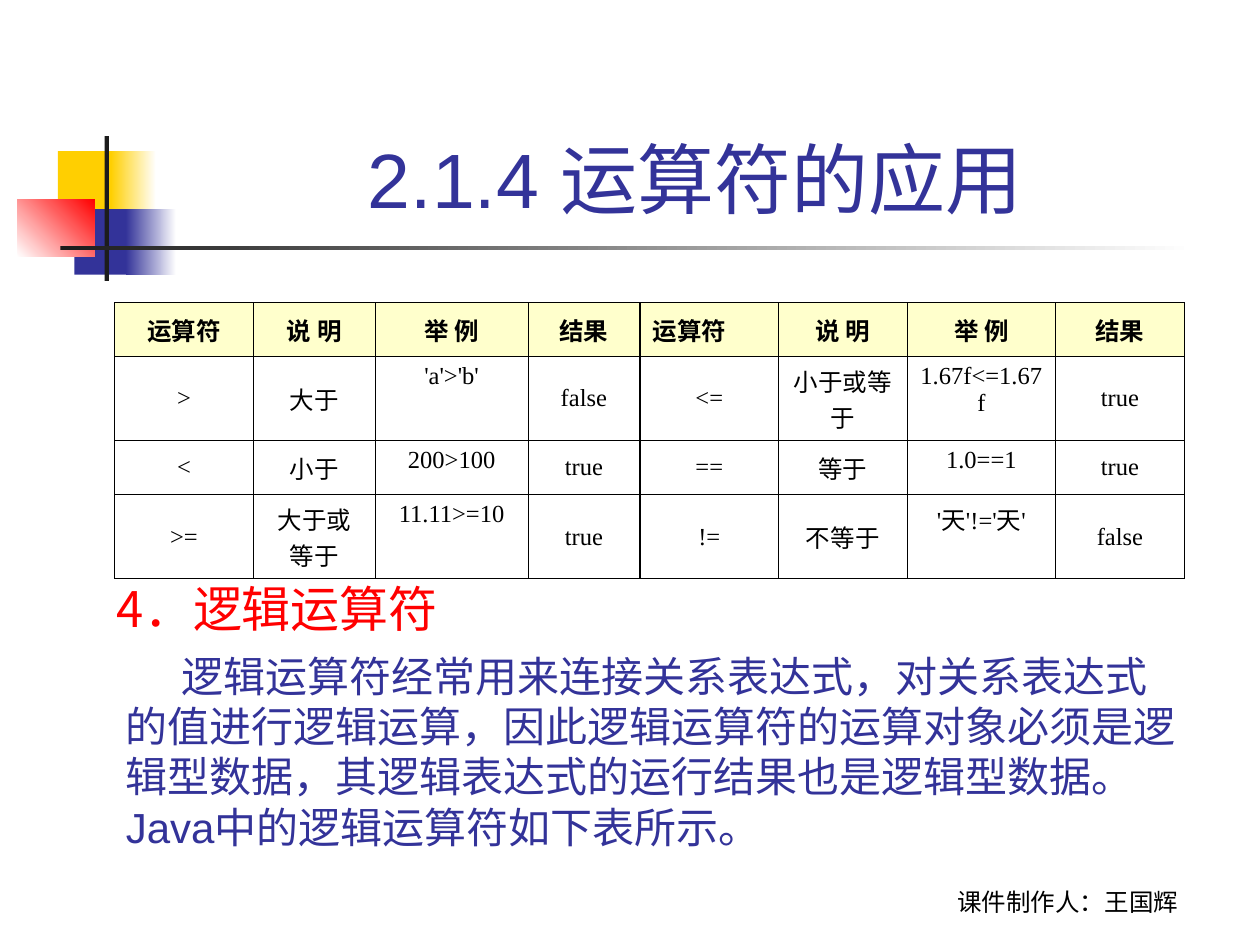
from lxml import etree
from pptx import Presentation
from pptx.dml.color import RGBColor
from pptx.enum.shapes import MSO_SHAPE
from pptx.enum.text import MSO_ANCHOR, MSO_AUTO_SIZE, PP_ALIGN
from pptx.oxml.ns import qn
from pptx.util import Inches, Pt

RECT = MSO_SHAPE.RECTANGLE
LEFT, CENTER = PP_ALIGN.LEFT, PP_ALIGN.CENTER
TOP, MIDDLE, BOTTOM = MSO_ANCHOR.TOP, MSO_ANCHOR.MIDDLE, MSO_ANCHOR.BOTTOM
NO_AUTOFIT = MSO_AUTO_SIZE.NONE

THEME = {
    "yellow": "FFCF01", "blue": "333399", "red": "FF0000", "white": "FFFFFF",
    "dark": "1C1C1C", "black": "000000", "header": "FFFFCC",
    "sans": "Arial", "serif": "Times New Roman", "cjk": "Noto Sans CJK SC", "credit": "Karla",
    "title_size": 44, "heading_size": 28, "body_size": 24, "small_size": 14,
    "thin": 0.45, "thick": 0.96,
}

prs = Presentation()
prs.slide_width, prs.slide_height = Inches(10), Inches(7.5)
slide = prs.slides.add_slide(prs.slide_layouts[5])


def area(left, top, width, height):
    """Turn percentages of the slide's size into lengths."""
    across, down = prs.slide_width / 100, prs.slide_height / 100
    return [round(n) for n in (left * across, top * down, width * across, height * down)]


def style(paragraph, face, size, color, align=LEFT, bold=False):
    paragraph.alignment = align
    font = paragraph.font
    font.name, font.size, font.bold = THEME[face], Pt(THEME[size]), bold
    font.color.rgb = RGBColor.from_string(THEME[color])
    defaults = paragraph._p.pPr.find(qn("a:defRPr"))
    etree.SubElement(defaults, qn("a:ea"), typeface=THEME["cjk"])


# Corner ornament: one colour is solid, two run from the first to the second
ornament = [
    ((4.6, 16, 4.8, 6.93), ["yellow"], 0),
    ((8.8, 16, 3.6, 6.93), ["yellow", "white"], 0),
    ((5.9, 22.13, 4.6, 6.93), ["blue"], 0),
    ((10, 22.13, 4, 6.93), ["blue", "white"], 0),
    ((1.4, 21.07, 6.1, 6.13), ["white", "red"], 45),
    ((8.3, 14.4, 0.35, 15.33), ["dark"], 0),
    ((4.8, 26, 90, 0.5), ["dark", "white"], 0),
]
for place, colors, angle in ornament:
    block = slide.shapes.add_shape(RECT, *area(*place))
    block.shadow.inherit = False
    block.line.fill.background()
    if len(colors) == 1:
        block.fill.solid()
        block.fill.fore_color.rgb = RGBColor.from_string(THEME[colors[0]])
    else:
        block.fill.gradient()
        block.fill.gradient_angle = angle
        for stop, color in zip(block.fill.gradient_stops, colors):
            stop.color.rgb = RGBColor.from_string(THEME[color])

# Title and running text
explanation = (
    "逻辑运算符经常用来连接关系表达式，对关系表达式的值进行逻辑运算，"
    "因此逻辑运算符的运算对象必须是逻辑型数据，其逻辑表达式的运行结果也是逻辑型数据。"
    "Java中的逻辑运算符如下表所示。"
)
title = slide.shapes.title
title.left, title.top, title.width, title.height = area(12.6, 3.07, 85.2, 21.33)
credit, heading, body = [
    slide.shapes.add_textbox(*area(*place))
    for place in [(68.9, 90.93, 31.7, 6.67), (8.3, 60.53, 85.8, 7.6), (9, 68.13, 85.8, 22.67)]
]
texts = [
    (title, "2.1.4 运算符的应用", "sans", "title_size", "blue", CENTER, BOTTOM),
    (credit, "课件制作人：王国辉", "credit", "small_size", "black", CENTER, BOTTOM),
    (heading, "4．逻辑运算符", "cjk", "heading_size", "red", LEFT, TOP),
    (body, explanation, "sans", "body_size", "blue", LEFT, TOP),
]
for box, words, face, size, color, align, anchor in texts:
    frame = box.text_frame
    frame.word_wrap, frame.auto_size, frame.vertical_anchor = True, NO_AUTOFIT, anchor
    frame.text = words
    style(frame.paragraphs[0], face, size, color, align)
    frame.paragraphs[0].line_spacing = Pt(round(THEME[size] * 1.2, 1))
body.text_frame.paragraphs[0]._p.pPr.set("indent", str(Inches(0.44)))

# Relational operators: two sets of four columns side by side
header = ["运算符", "说 明", "举 例", "结果"]
operators = [
    header * 2,
    [">", "大于", "'a'>'b'", "false", "<=", "小于或等于", "1.67f<=1.67f", "true"],
    ["<", "小于", "200>100", "true", "==", "等于", "1.0==1", "true"],
    [">=", "大于或等于", "11.11>=10", "true", "!=", "不等于", "'天'!='天'", "false"],
]
half = len(header)
column_shares = [11, 9.7, 12.1, 8.9, 11, 10.2, 11.8, 10.2]
row_shares = [5.73, 7.6, 5.73, 7.6]
table = slide.shapes.add_table(
    len(operators), 2 * half, *area(9.1, 32, sum(column_shares), sum(row_shares))
).table
for column, share in zip(table.columns, column_shares):
    column.width = round(prs.slide_width * share / 100)
for row, share in zip(table.rows, row_shares):
    row.height = round(prs.slide_height * share / 100)

for r, entries in enumerate(operators):
    for c, entry in enumerate(entries):
        cell = table.cell(r, c)
        cell.text = entry
        is_header = r == 0
        is_example = c % half == 2 and not is_header
        cell.vertical_anchor = TOP if is_example else MIDDLE
        align = LEFT if is_header and c == half else CENTER
        style(cell.text_frame.paragraphs[0], "serif", "small_size", "black", align, is_header)
        properties = cell._tc.get_or_add_tcPr()
        for side in "LRTB":
            on_divider = (c, side) in [(half - 1, "R"), (half, "L")]
            width = Pt(THEME["thick" if on_divider else "thin"])
            border = etree.SubElement(properties, qn(f"a:ln{side}"), w=str(width))
            fill = etree.SubElement(border, qn("a:solidFill"))
            etree.SubElement(fill, qn("a:srgbClr"), val=THEME["black"])
        if is_header:
            cell.fill.solid()
            cell.fill.fore_color.rgb = RGBColor.from_string(THEME["header"])
        else:
            cell.fill.background()

prs.save("out.pptx")
